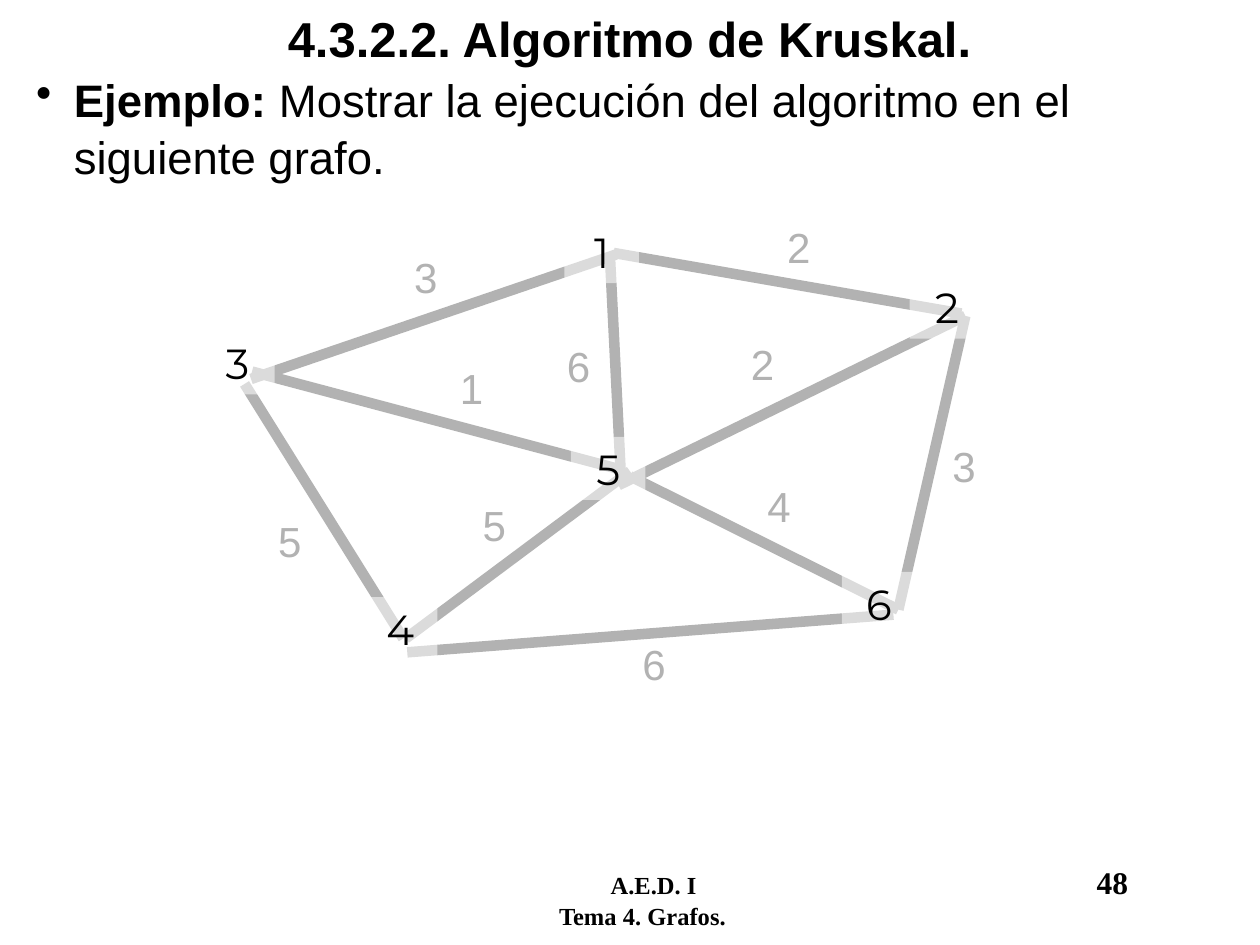
from pptx import Presentation
from pptx.dml.color import RGBColor as Rgb
from pptx.enum.shapes import MSO_CONNECTOR as Link, MSO_SHAPE as Form
from pptx.enum.text import MSO_ANCHOR as Anchor, PP_ALIGN as Align
from pptx.oxml.ns import qn
from pptx.util import Cm, Pt
from lxml.etree import SubElement as Sub

INK = {"text": "000000", "edge": "B2B2B2", "node": "FFFFFF"}

EDGES = [
    ("3", (1.02, 3.3), (8.38, 0.79), (4.06, 0.61)),
    ("2", (8.33, 0.76), (15.34, 1.98), (11.58, 0)),
    ("2", (15.42, 2.03), (8.43, 5.44), (10.85, 2.36)),
    ("6", (8.26, 0.91), (8.48, 5.33), (7.14, 2.39)),
    ("5", (0.89, 3.4), (4.09, 8.53), (1.32, 5.92)),
    ("5", (4.14, 8.53), (8.66, 5.16), (5.44, 5.61)),
    ("4", (8.66, 5.26), (14.07, 7.95), (11.18, 5.23)),
    ("6", (4.17, 8.81), (13.97, 8.05), (8.66, 8.41)),
    ("3", (14.07, 7.95), (15.42, 2.03), (14.91, 4.42)),
    ("1", (1.04, 3.15), (8.41, 5.11), (4.98, 2.84)),
]
NODES = [
    ("1", 7.34, 0.1),
    ("2", 14.3, 1.22),
    ("3", 0, 2.34),
    ("4", 3.28, 7.7),
    ("5", 7.47, 4.47),
    ("6", 12.93, 7.19),
]


def style(font, size, name, ink, bold=False):
    font.size = Pt(size)
    font.name = name
    font.bold = bold
    font.color.rgb = Rgb.from_string(INK[ink])


def add_text(slide, x, y, w, h):
    frame = slide.shapes.add_textbox(Cm(x), Cm(y), Cm(w), Cm(h)).text_frame
    frame.word_wrap = True
    return frame


def add_title(slide, x, y, w, h):
    frame = add_text(slide, x, y, w, h)
    frame.vertical_anchor = Anchor.MIDDLE
    para = frame.paragraphs[0]
    para.text = "4.3.2.2. Algoritmo de Kruskal."
    para.alignment = Align.CENTER
    style(para.font, 28, "Arial", "text", True)


def add_body(slide, x, y, w, h):
    para = add_text(slide, x, y, w, h).paragraphs[0]
    props = para._p.get_or_add_pPr()
    props.set("marL", str(Cm(0.76)))
    props.set("indent", str(Cm(-0.76)))
    para.line_spacing = 1.05
    Sub(props, qn("a:buChar")).set("char", "•")
    style(para.font, 26, "Arial", "text")
    for text, bold in (
        ("Ejemplo:", True),
        (" Mostrar la ejecución del algoritmo en el siguiente grafo.", False),
    ):
        run = para.add_run()
        run.text = text
        style(run.font, 26, "Arial", "text", bold)


def add_edge(slide, x, y, start, end):
    line = slide.shapes.add_connector(
        Link.STRAIGHT,
        Cm(x + start[0]), Cm(y + start[1]), Cm(x + end[0]), Cm(y + end[1]),
    )
    line.line.color.rgb = Rgb.from_string(INK["edge"])
    line.line.width = Pt(6)
    Sub(line._element.spPr, qn("a:effectLst"))


def add_node(slide, text, x, y):
    node = slide.shapes.add_shape(Form.RECTANGLE, Cm(x), Cm(y), Cm(1.5), Cm(1.27))
    node.shadow.inherit = False
    node.line.fill.background()
    node.fill.solid()
    node.fill.fore_color.rgb = Rgb.from_string(INK["node"])
    tint = node._element.spPr.find(qn("a:solidFill"))[0]
    Sub(tint, qn("a:alpha")).set("val", "54000")
    frame = node.text_frame
    frame.vertical_anchor = Anchor.TOP
    para = frame.paragraphs[0]
    para.text = text
    para.alignment = Align.CENTER
    style(para.font, 24, "Montserrat", "text")


def add_graph(slide, x, y):
    for _, start, end, _ in EDGES:
        add_edge(slide, x, y, start, end)
    for cost, _, _, (dx, dy) in EDGES:
        para = add_text(slide, x + dx, y + dy, 1.22, 1.27).paragraphs[0]
        para.text = cost
        style(para.font, 24, "Arial", "edge")
    for name, dx, dy in NODES:
        add_node(slide, name, x + dx, y + dy)


def add_foot(slide, x, y, w, h):
    frame = add_text(slide, x, y, w, h)
    rows = [
        (("\tA.E.D. I\t", 14), ("48", 18)),
        (("\tTema 4. Grafos.", 14),),
    ]
    stops = [(2.87, 12.67), (1.83,)]
    paras = [frame.paragraphs[0], frame.add_paragraph()]
    for para, row, marks in zip(paras, rows, stops):
        tabs = Sub(para._p.get_or_add_pPr(), qn("a:tabLst"))
        for mark in marks:
            tab = Sub(tabs, qn("a:tab"))
            tab.set("pos", str(Cm(mark)))
            tab.set("algn", "l")
        for text, size in row:
            run = para.add_run()
            run.text = text
            style(run.font, size, "Times New Roman", "text", True)


def main():
    deck = Presentation()
    deck.slide_width, deck.slide_height = Cm(25.4), Cm(19.05)
    slide = deck.slides.add_slide(deck.slide_layouts[6])
    add_foot(slide, 9.19, 17.27, 14.73, 1.27)
    add_title(slide, 0.84, 0, 23.7, 1.55)
    add_body(slide, 0.48, 1.27, 23.88, 16.1)
    add_graph(slide, 4.04, 4.34)
    deck.save("out.pptx")


if __name__ == "__main__":
    main()
